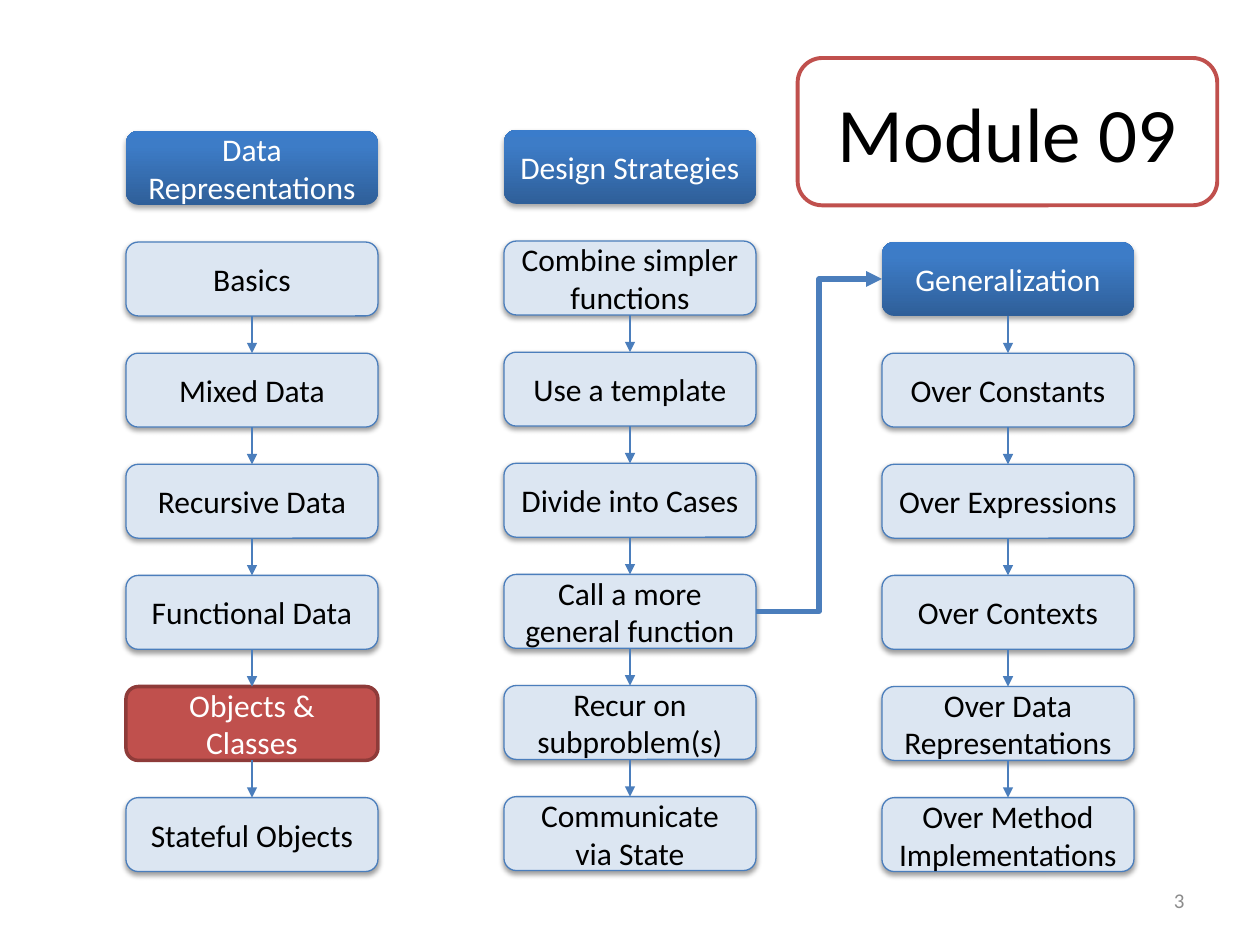
"""Build the Module 09 roadmap slide: three columns of linked topic boxes."""
from copy import deepcopy
from dataclasses import dataclass

from lxml import etree
from pptx import Presentation
from pptx.dml.color import RGBColor
from pptx.enum.shapes import MSO_CONNECTOR, MSO_SHAPE
from pptx.enum.text import MSO_ANCHOR, PP_ALIGN
from pptx.oxml.ns import qn
from pptx.util import Cm, Pt

ROUNDED = MSO_SHAPE.ROUNDED_RECTANGLE
STRAIGHT, ELBOW = MSO_CONNECTOR.STRAIGHT, MSO_CONNECTOR.ELBOW
MIDDLE = MSO_ANCHOR.MIDDLE
CENTER, RIGHT = PP_ALIGN.CENTER, PP_ALIGN.RIGHT
TOP_SIDE, LEFT_SIDE, BOTTOM_SIDE, RIGHT_SIDE = range(4)

COLORS = {
    "black": "000000",
    "white": "FFFFFF",
    "gray": "8C8C8C",
    "blue": "4B7EBC",
    "pale": "DCE6F2",
    "red": "C0504D",
    "dark_red": "8E3B39",
    "grad_low": "2F5F99",
    "grad_mid": "3D7CC7",
    "grad_high": "3A7CCB",
}
HEADER_STOPS = (("grad_low", 0), ("grad_mid", 0.8), ("grad_high", 1))
FONT = "Calibri"
BOX_W, BOX_H, PITCH = 5.08, 1.49, 2.24


@dataclass(frozen=True)
class Style:
    """Look of a box; an empty fill or line name means none."""
    fill: str
    line: str
    line_pt: float
    text: str
    size: int = 18
    shadow_alpha: int = 0
    shadow_pt: float = 0
    gradient: bool = False


@dataclass(frozen=True)
class Column:
    """A header with its topics; linked_header joins the header to the first."""
    left: float
    top: float
    header: str
    topics: tuple[str, ...]
    linked_header: bool = False


HEADER = Style("", "", 0, "white", shadow_alpha=35, shadow_pt=1.8, gradient=True)
TOPIC = Style("pale", "blue", 0.75, "black", shadow_alpha=38, shadow_pt=1.6)
CURRENT = Style("red", "dark_red", 2, "white")
TITLE = Style("", "red", 2.25, "black", size=44)
CURRENT_TOPIC = "Objects & Classes"
GENERAL_CALL = "Call a more general function"

COLUMNS = (
    Column(2.54, 2.64, "Data Representations", (
        "Basics", "Mixed Data", "Recursive Data", "Functional Data",
        CURRENT_TOPIC, "Stateful Objects")),
    Column(10.16, 2.62, "Design Strategies", (
        "Combine simpler functions", "Use a template", "Divide into Cases",
        GENERAL_CALL, "Recur on subproblem(s)", "Communicate via State")),
    Column(17.78, 4.88, "Generalization", (
        "Over Constants", "Over Expressions", "Over Contexts",
        "Over Data Representations", "Over Method Implementations"),
        linked_header=True),
)


def rgb(name: str) -> RGBColor:
    """Look up a colour by name."""
    return RGBColor.from_string(COLORS[name])


def set_text(sp, text: str, size: int, color: str, align) -> None:
    """Write one formatted paragraph, centred vertically."""
    tf = sp.text_frame
    tf.word_wrap = True
    tf.vertical_anchor = MIDDLE
    p = tf.paragraphs[0]
    p.text = text
    p.alignment = align
    font = p.runs[0].font
    font.name, font.size = FONT, Pt(size)
    font.color.rgb = rgb(color)


def set_header_gradient(sp) -> None:
    """Fill a shape with the three-stop vertical gradient."""
    fill = sp.fill
    fill.gradient()
    fill.gradient_angle = 90
    stops = sp._element.spPr.find(".//" + qn("a:gsLst"))
    stops.append(deepcopy(stops[0]))
    for stop, (name, position) in zip(fill.gradient_stops, HEADER_STOPS):
        stop.color.rgb = rgb(name)
        stop.position = position


def add_shadow(sp, alpha: int, distance: float) -> None:
    """Cast a soft black shadow straight down."""
    effects = sp._element.spPr.find(qn("a:effectLst"))
    shadow = etree.SubElement(
        effects, qn("a:outerShdw"), blurRad=str(Pt(3.1)),
        dist=str(Pt(distance)), dir="5400000", rotWithShape="0")
    color = etree.SubElement(shadow, qn("a:srgbClr"), val=COLORS["black"])
    etree.SubElement(color, qn("a:alpha"), val=str(alpha * 1000))


def add_box(slide, text: str, left: float, top: float, style: Style,
            width: float = BOX_W, height: float = BOX_H):
    """Draw a rounded box in the given style."""
    sp = slide.shapes.add_shape(ROUNDED, Cm(left), Cm(top), Cm(width), Cm(height))
    sp.shadow.inherit = False
    if style.gradient:
        set_header_gradient(sp)
    elif style.fill:
        sp.fill.solid()
        sp.fill.fore_color.rgb = rgb(style.fill)
    else:
        sp.fill.background()
    if style.line:
        sp.line.color.rgb = rgb(style.line)
        sp.line.width = Pt(style.line_pt)
    else:
        sp.line.fill.background()
    if style.shadow_alpha:
        add_shadow(sp, style.shadow_alpha, style.shadow_pt)
    set_text(sp, text, style.size, style.text, CENTER)
    return sp


def add_arrow(slide, start, end, kind=STRAIGHT, start_side: int = BOTTOM_SIDE,
              end_side: int = TOP_SIDE, width: float = 0.75) -> None:
    """Join two boxes with an arrow."""
    cxn = slide.shapes.add_connector(kind, 0, 0, 0, 0)
    cxn.begin_connect(start, start_side)
    cxn.end_connect(end, end_side)
    cxn.line.color.rgb = rgb("blue")
    cxn.line.width = Pt(width)
    etree.SubElement(cxn.line._get_or_add_ln(), qn("a:tailEnd"), type="triangle")
    etree.SubElement(cxn._element.spPr, qn("a:effectLst"))


def add_column(slide, column: Column) -> dict:
    """Draw a column and return its boxes by text."""
    boxes = {}
    for row, text in enumerate((column.header, *column.topics)):
        style = HEADER if row == 0 else CURRENT if text == CURRENT_TOPIC else TOPIC
        boxes[text] = add_box(slide, text, column.left,
                              column.top + row * PITCH, style)
    chain = list(boxes.values())[0 if column.linked_header else 1:]
    for upper, lower in zip(chain, chain[1:]):
        add_arrow(slide, upper, lower)
    return boxes


def main() -> None:
    """Build and save the slide."""
    prs = Presentation()
    prs.slide_width, prs.slide_height = Cm(25.4), Cm(19.05)
    slide = prs.slides.add_slide(prs.slide_layouts[6])

    boxes = {}
    for column in COLUMNS:
        boxes.update(add_column(slide, column))
    add_arrow(slide, boxes[GENERAL_CALL], boxes["Generalization"], ELBOW,
              RIGHT_SIDE, LEFT_SIDE, 3)

    add_box(slide, "Module 09", 16.08, 1.17, TITLE, 8.46, 2.97)
    number = slide.shapes.add_textbox(Cm(18.2), Cm(17.65), Cm(5.93), Cm(1.01))
    set_text(number, "3", 12, "gray", RIGHT)
    prs.save("out.pptx")


if __name__ == "__main__":
    main()
